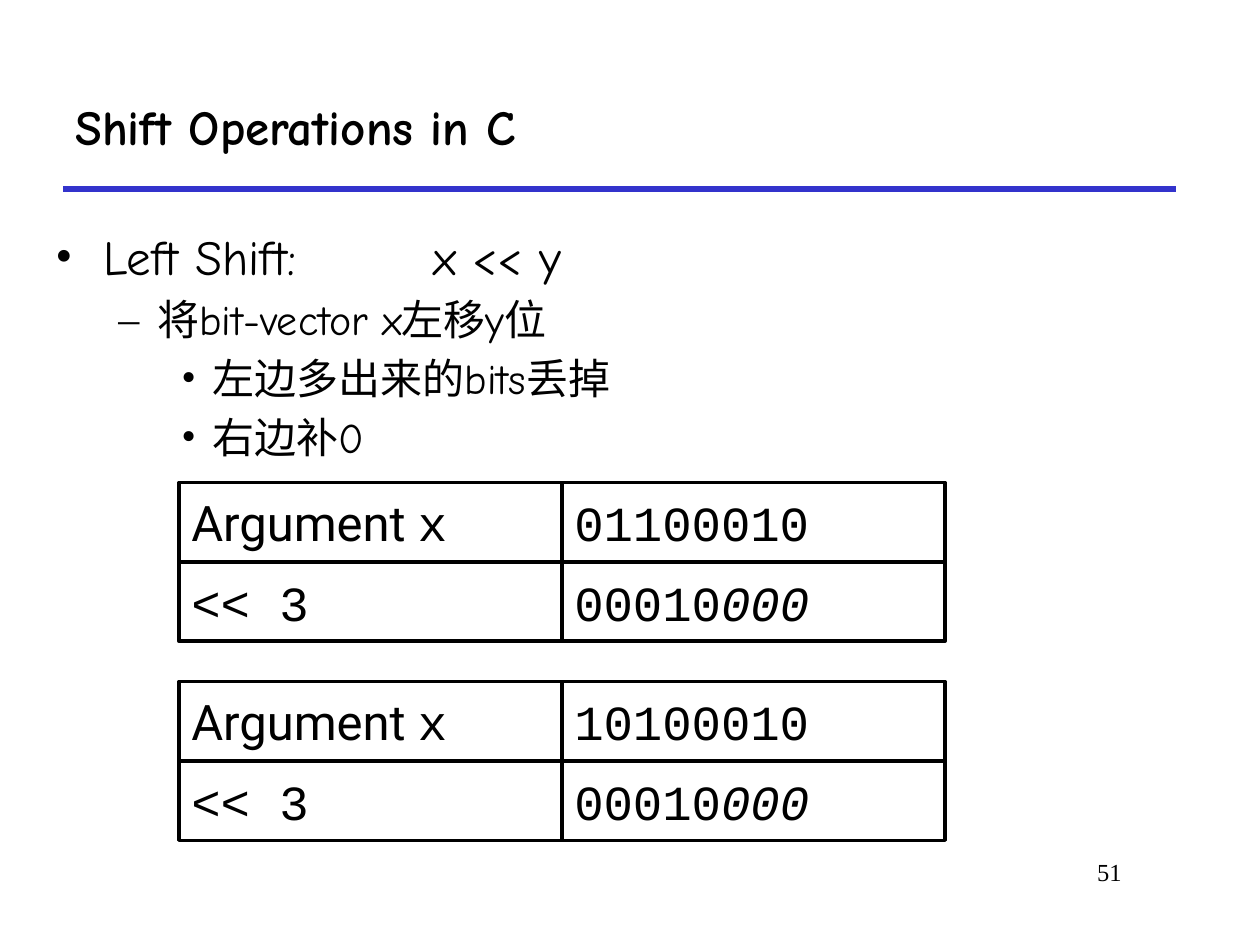
from lxml.etree import SubElement
from pptx import Presentation
from pptx.dml.color import RGBColor
from pptx.enum.shapes import MSO_CONNECTOR, MSO_SHAPE
from pptx.enum.text import MSO_ANCHOR, PP_ALIGN
from pptx.oxml.ns import qn
from pptx.util import Inches, Pt

COLORS = {"ink": "000000", "paper": "FFFFFF", "rule": "3333CC"}
HAND, CODE, SANS, SERIF = "Comic Neue", "Courier New", "Roboto", "Times New Roman"
# Outline levels: bullet, left margin, hanging indent, text size
LEVELS = [("•", 0.38, 0.38, 28), ("–", 0.81, 0.31, 24), ("•", 1.25, 0.25, 24)]
POINTS = [
    (0, "Left Shift: \tx << y"),
    (1, "将bit-vector x左移y位"),
    (2, "左边多出来的bits丢掉"),
    (2, "右边补0"),
]


def color(name):
    return RGBColor.from_string(COLORS[name])


def add_run(para, text, **form):
    run = para.add_run()
    run.text = text
    for key, value in form.items():
        setattr(run.font, key, value)
    run.font.color.rgb = color("ink")


def add_box(slide, box, anchor=MSO_ANCHOR.TOP):
    frame = slide.shapes.add_textbox(*map(Inches, box)).text_frame
    frame.word_wrap = True
    frame.vertical_anchor = anchor
    return frame


def add_title(slide, box, text):
    """Title text with a rule along the bottom of its box."""
    left, top, width, height = box
    base = top + height
    ends = map(Inches, (left, base, left + width, base))
    rule = slide.shapes.add_connector(MSO_CONNECTOR.STRAIGHT, *ends)
    rule.line.color.rgb = color("rule")
    rule.line.width = Pt(3)
    SubElement(rule._element.spPr, qn("a:effectLst"))
    frame = add_box(slide, box, MSO_ANCHOR.MIDDLE)
    add_run(frame.paragraphs[0], text, name=HAND, size=Pt(28), bold=True)


def add_points(slide, box, points):
    frame = add_box(slide, box)
    for index, (level, text) in enumerate(points):
        para = frame.add_paragraph() if index else frame.paragraphs[0]
        mark, margin, hang, size = LEVELS[level]
        para.level = level
        para.space_before = Pt(size * 0.2)
        props = para._p.get_or_add_pPr()
        props.set("marL", str(Inches(margin)))
        props.set("indent", str(-Inches(hang)))
        SubElement(props, qn("a:buFont"), typeface=SERIF)
        SubElement(props, qn("a:buChar"), char=mark)
        if "\t" in text:
            tabs = SubElement(props, qn("a:tabLst"))
            SubElement(tabs, qn("a:tab"), pos=str(Inches(3)), algn="l")
        add_run(para, text, name=HAND, size=Pt(size))


def add_cell(slide, box, runs):
    cell = slide.shapes.add_shape(MSO_SHAPE.RECTANGLE, *map(Inches, box))
    cell.shadow.inherit = False
    cell.fill.solid()
    cell.fill.fore_color.rgb = color("paper")
    cell.line.color.rgb = color("ink")
    cell.line.width = Pt(2)
    frame = cell.text_frame
    frame.word_wrap = False
    frame.vertical_anchor = MSO_ANCHOR.MIDDLE
    para = frame.paragraphs[0]
    para.alignment = PP_ALIGN.LEFT
    for text, font, slant in runs:
        add_run(para, text, name=font, size=Pt(28), italic=slant)


def add_bits(slide, box, bits):
    """Grid of an argument and its value after a left shift by 3."""
    left, top, width, height = box
    wide, high = width / 2, height / 2
    rows = [
        [[("Argument ", SANS, False), ("x", CODE, False)], [(bits, CODE, False)]],
        [[("<< 3", CODE, False)], [(bits[3:], CODE, False), ("000", CODE, True)]],
    ]
    for r, row in enumerate(rows):
        for c, runs in enumerate(row):
            add_cell(slide, (left + c * wide, top + r * high, wide, high), runs)


def add_number(slide, box, text):
    para = add_box(slide, box).paragraphs[0]
    para.alignment = PP_ALIGN.RIGHT
    add_run(para, text, name=SERIF, size=Pt(14))


def main():
    deck = Presentation()
    deck.slide_width, deck.slide_height = Inches(10), Inches(7.5)
    slide = deck.slides.add_slide(deck.slide_layouts[6])
    add_title(slide, (0.5, 0.5, 8.83, 1), "Shift Operations in C")
    add_points(slide, (0.34, 1.75, 6.42, 4.83), POINTS)
    for top, bits in ((3.83, "01100010"), (5.41, "10100010")):
        add_bits(slide, (1.42, top, 6.08, 1.26), bits)
    add_number(slide, (7.58, 6.75, 1.42, 0.5), "51")
    deck.save("out.pptx")


if __name__ == "__main__":
    main()
